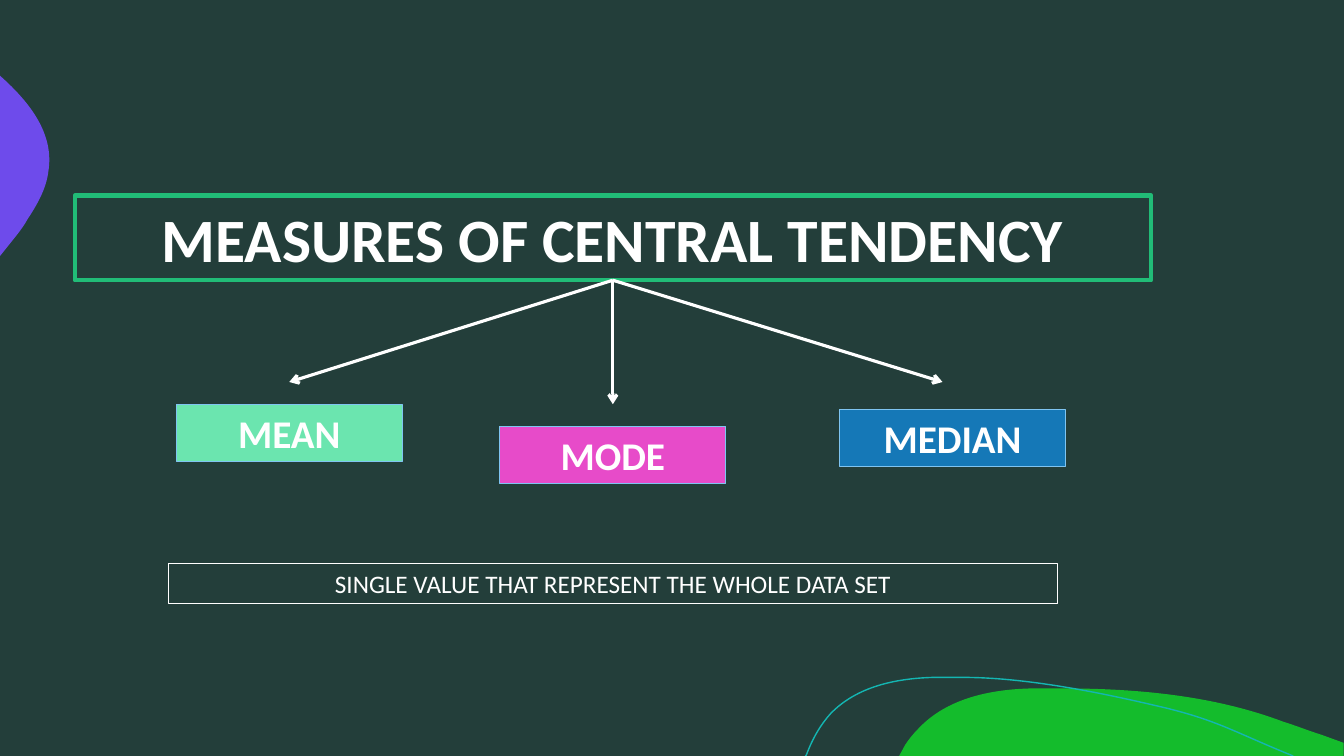
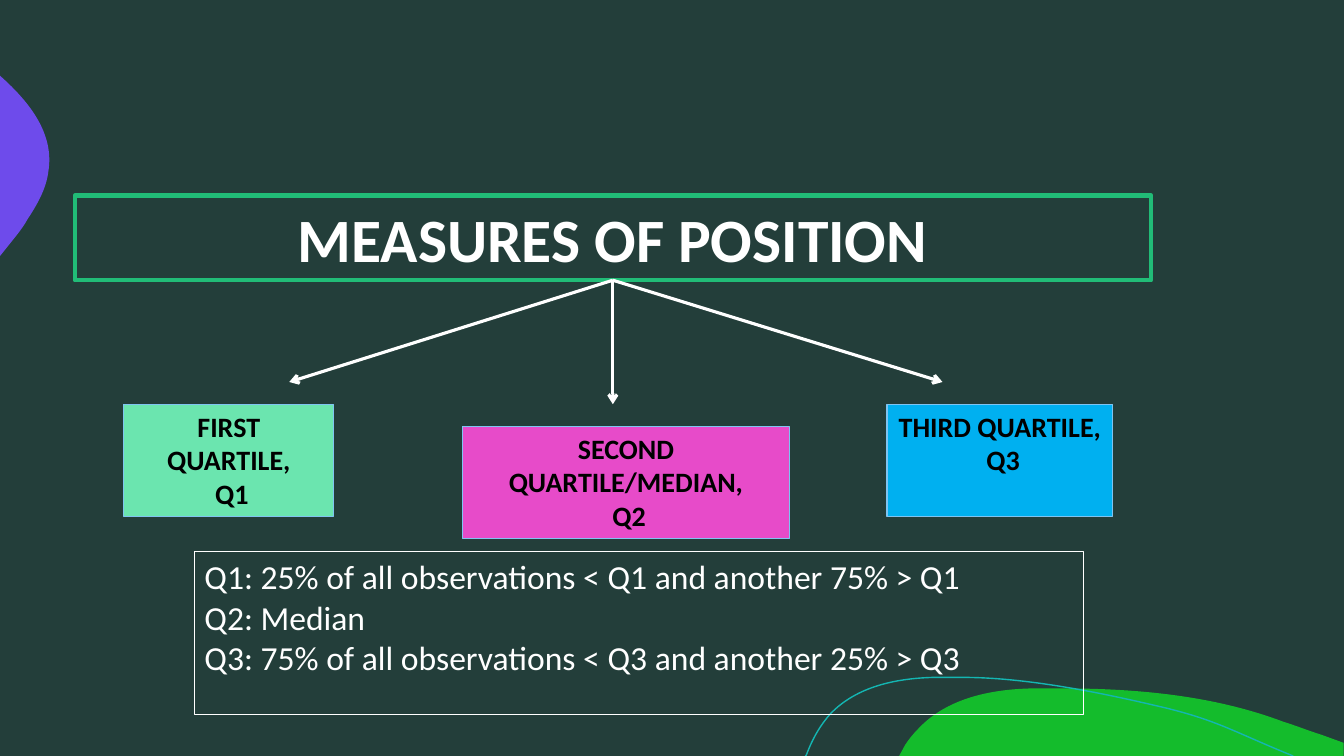
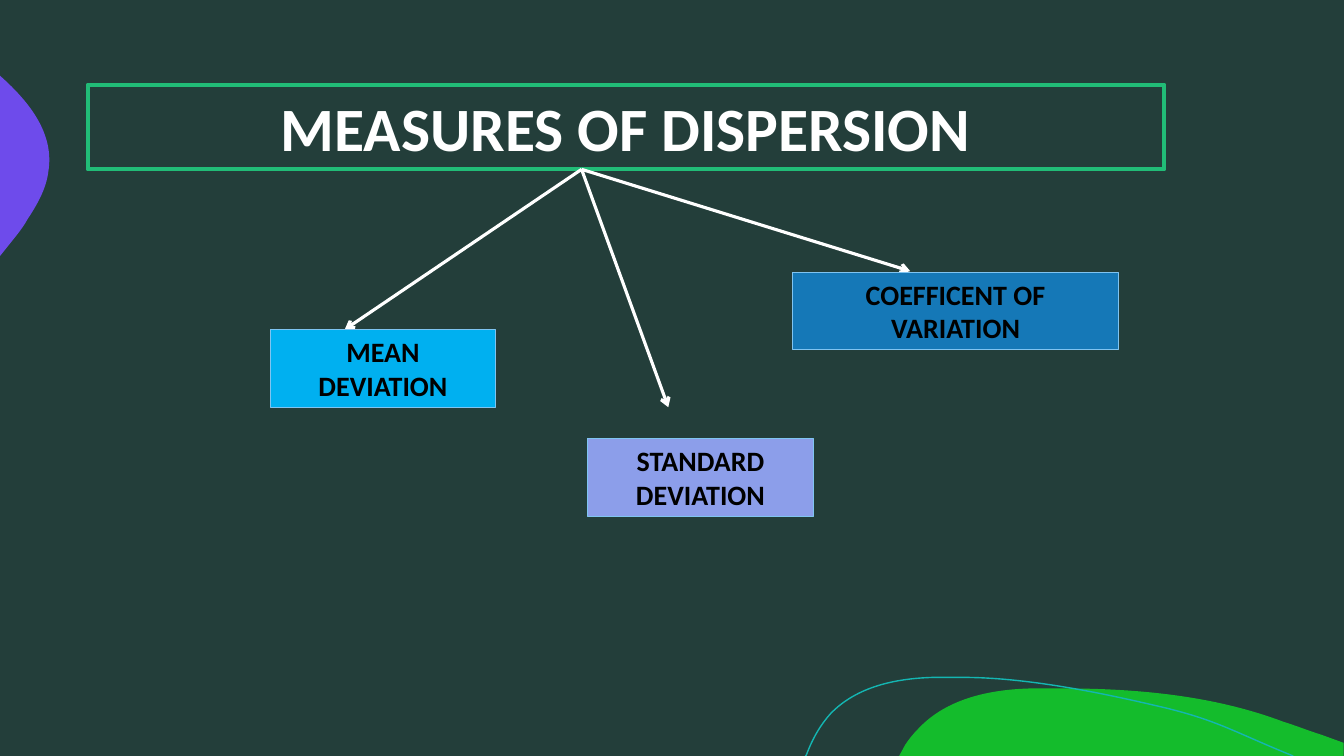
from lxml import etree
from pptx import Presentation
from pptx import util as u
from pptx.dml.color import RGBColor
from pptx.enum import shapes, text
from pptx.oxml.ns import qn

PX = 9144
FONT = "Calibri"
C = {
    "bg": "233E3A", "white": "FFFFFF", "black": "000000", "frame": "21BC77",
    "edge": "7FC4F1", "mint": "6BE5AF", "pink": "E74BC9", "blue": "1578B7",
    "sky": "00B0F0", "lilac": "8C9EEA", "green": "14BC2C", "violet": "6E4BEB",
    "teal": "14B6B2",
}
CENTER = text.PP_ALIGN.CENTER
HEADING = {"size": u.Pt(44), "bold": True}
LABEL = {"size": u.Pt(28), "bold": True}
SMALL_LABEL = {"size": u.Pt(20), "bold": True}
NOTE = {"size": u.Pt(18), "bold": False}
LIST = {"size": u.Pt(24), "bold": False}

GREEN_HILL = [
    (1054, 683), (1128, 683, 1204, 690, 1273, 716), (1286, 720, 1298, 725, 1311, 729),
    (1333, 737), (1333, 750), (892, 750), (898, 739), (902, 733, 906, 728, 911, 723),
    (939, 693, 982, 684, 1023, 683), (1033, 683, 1043, 683, 1054, 683),
]
VIOLET_BUMP = [
    (0, 75), (1, 76), (30, 102, 54, 133, 48, 170), (46, 187, 37, 203, 27, 218),
    (24, 224, 17, 233, 8, 244), (0, 254),
]
TEAL_CURVE = [
    (799, 750), (800, 749), (806, 733, 814, 719, 824, 708), (850, 681, 889, 673, 926, 672),
    (955, 672), (1022, 672, 1100, 689, 1155, 702), (1209, 715, 1226, 727, 1283, 750),
]


def px(*values):
    return [v * PX for v in values]


def rgb(name):
    return RGBColor.from_string(C[name])


def paint(sp, fill=None, line=None, width=0.75):
    if fill:
        sp.fill.solid()
        sp.fill.fore_color.rgb = rgb(fill)
    else:
        sp.fill.background()
    if line:
        sp.line.color.rgb = rgb(line)
        sp.line.width = u.Pt(width)
    else:
        sp.line.fill.background()


def write(sp, lines, font, color="white", align=CENTER):
    tf = sp.text_frame
    frame = {"word_wrap": True, "auto_size": text.MSO_AUTO_SIZE.SHAPE_TO_FIT_TEXT,
             "vertical_anchor": text.MSO_ANCHOR.TOP}
    for name, value in frame.items():
        setattr(tf, name, value)
    for i, line in enumerate(lines):
        p = tf.add_paragraph() if i else tf.paragraphs[0]
        p.alignment = align
        r = p.add_run()
        r.text = line
        for name, value in {"name": FONT, **font}.items():
            setattr(r.font, name, value)
        r.font.color.rgb = rgb(color)


def outline(s, parts, close=True):
    fb = s.shapes.build_freeform(*px(*parts[0]))
    fb.add_line_segments([px(*part[-2:]) for part in parts[1:]], close=close)
    sp = fb.convert_to_shape()
    sp.shadow.inherit = False
    segments = list(sp.element.iter(qn("a:lnTo")))
    for segment, part in zip(segments, parts[1:]):
        if len(part) == 6:
            segment.tag = qn("a:cubicBezTo")
            for i in (0, 2):
                x, y = px(*part[i:i + 2])
                pt = etree.Element(qn("a:pt"), x=str(x - sp.left), y=str(y - sp.top))
                segment.insert(i // 2, pt)
    return sp


def decorate_master(prs, s):
    master = prs.slide_master
    master.background.fill.solid()
    master.background.fill.fore_color.rgb = rgb("bg")
    hill, bump = outline(s, GREEN_HILL), outline(s, VIOLET_BUMP)
    curve = outline(s, TEAL_CURVE, close=False)
    paint(hill, fill="green")
    paint(bump, fill="violet")
    paint(curve, line="teal", width=1)
    for i, sp in enumerate((hill, bump, curve)):
        sp.element.nvSpPr.cNvPr.set("id", str(101 + i))
        master.shapes.element.insert(2 + i, sp.element)


def add_title(s, x, y, line):
    sp = s.shapes.title
    sp.left, sp.top, sp.width, sp.height = px(x, y, 1068, 84)
    paint(sp, line="frame", width=3)
    write(sp, [line], HEADING)
    return sp


def box(s, rect, lines, font, color="white", fill=None, line="edge", align=CENTER):
    sp = s.shapes.add_shape(shapes.MSO_SHAPE.RECTANGLE, *px(*rect))
    sp.shadow.inherit = False
    paint(sp, fill, line)
    write(sp, lines, font, color, align)


def arrow(s, start, end, source=None):
    cx = s.shapes.add_connector(shapes.MSO_CONNECTOR.STRAIGHT, *px(*start, *end))
    if source is not None:
        cx.begin_connect(source, 2)
    cx.line.color.rgb = rgb("white")
    cx.line.width = u.Pt(2.25)
    spPr = cx.element.spPr
    etree.SubElement(spPr.find(qn("a:ln")), qn("a:tailEnd"), type="arrow")
    etree.SubElement(spPr, qn("a:effectLst"))


def branch_title(s, line):
    title = add_title(s, 74, 194, line)
    for end in ((287, 379), (608, 401), (935, 379)):
        arrow(s, (608, 278), end, title)


def central_tendency(s):
    branch_title(s, "MEASURES OF CENTRAL TENDENCY")
    for x, y, label, fill in ((175, 401, "MEAN", "mint"), (496, 423, "MODE", "pink"),
                              (833, 406, "MEDIAN", "blue")):
        box(s, (x, y, 224, 57), [label], LABEL, fill=fill)
    box(s, (167, 559, 882, 40), ["SINGLE VALUE THAT REPRESENT THE WHOLE DATA SET"],
        NOTE, line="white")


def position(s):
    branch_title(s, "MEASURES OF POSITION")
    for x, y, w, label, q, fill in (
            (123, 401, 208, "FIRST QUARTILE,", " Q1", "mint"),
            (459, 423, 324, "SECOND QUARTILE/MEDIAN,", " Q2", "pink"),
            (880, 401, 224, "THIRD QUARTILE,", " Q3", "sky")):
        box(s, (x, y, w, 111), [label, q], SMALL_LABEL, "black", fill)
    box(s, (193, 547, 882, 162), [
        "Q1: 25% of all observations < Q1 and another 75% > Q1",
        "Q2: Median",
        "Q3: 75% of all observations < Q3 and another 25% > Q3",
    ], LIST, line="white", align=text.PP_ALIGN.JUSTIFY)


def dispersion(s):
    add_title(s, 87, 84, "MEASURES OF DISPERSION")
    for end in ((342, 327), (663, 404), (903, 269)):
        arrow(s, (577, 168), end)
    for x, y, w, label, fill in ((268, 327, 224, "MEAN DEVIATION", "sky"),
                                 (583, 435, 224, "STANDARD DEVIATION", "lilac"),
                                 (786, 270, 324, "COEFFICENT OF VARIATION", "blue")):
        box(s, (x, y, w, 77), [label], SMALL_LABEL, "black", fill)


def main():
    prs = Presentation()
    prs.slide_width, prs.slide_height = u.Emu(12192000), u.Emu(6858000)
    for i, build in enumerate((central_tendency, position, dispersion)):
        s = prs.slides.add_slide(prs.slide_layouts[5])
        if i == 0:
            decorate_master(prs, s)
        build(s)
    prs.save("out.pptx")


if __name__ == "__main__":
    main()
